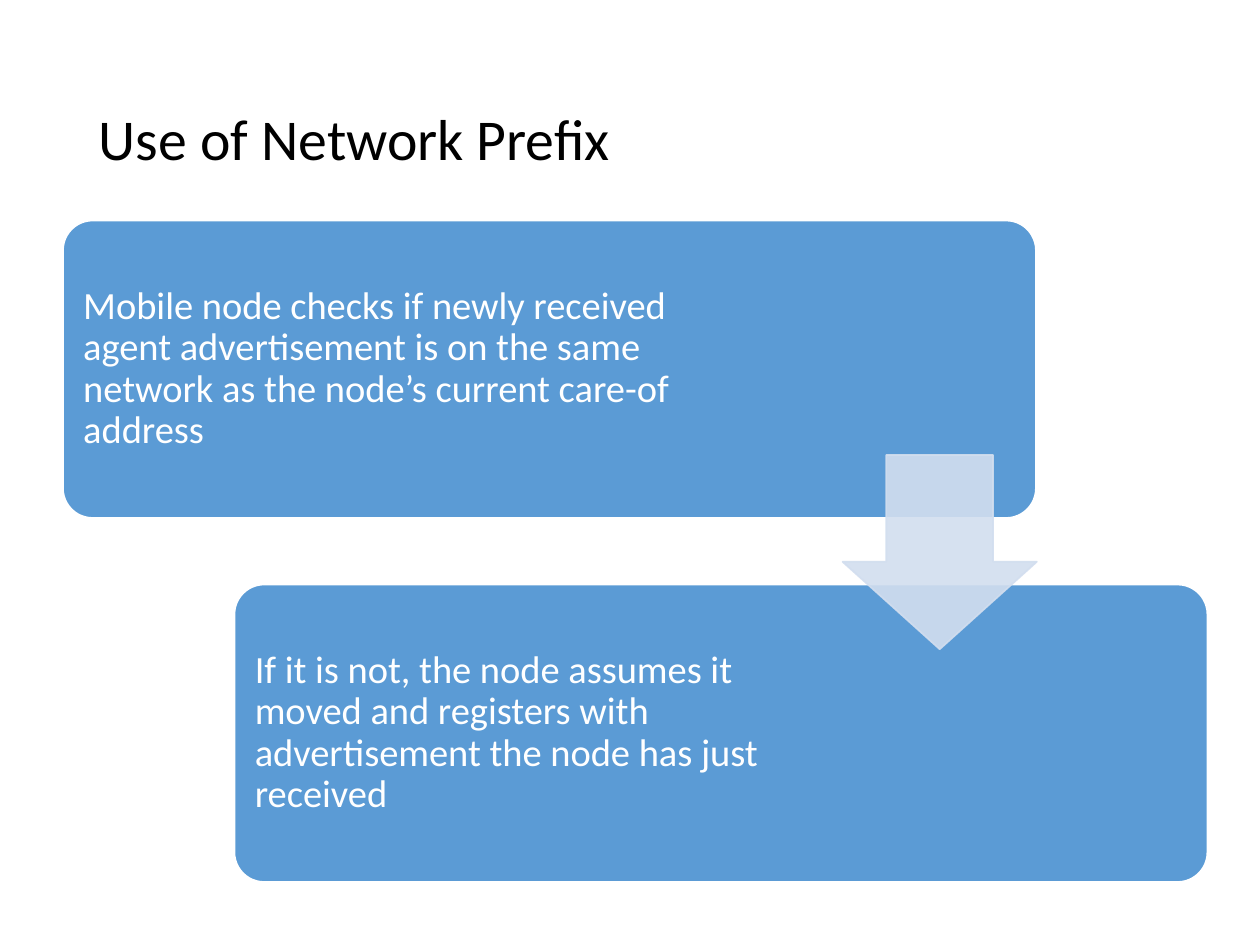
from dataclasses import dataclass
from lxml.etree import SubElement
from pptx import Presentation
from pptx.dml.color import RGBColor as Rgb
from pptx.enum.shapes import MSO_SHAPE as Kind
from pptx.enum.text import MSO_ANCHOR as Anchor, PP_ALIGN as Align
from pptx.oxml.ns import qn
from pptx.shapes.autoshape import Shape
from pptx.slide import Slide
from pptx.util import Pt


@dataclass(frozen=True)
class Theme:
    font: str = "Calibri"
    head: float = 33
    body: float = 22
    ink: Rgb = Rgb(0, 0, 0)
    white: Rgb = Rgb(255, 255, 255)
    blue: Rgb = Rgb(0x5B, 0x9B, 0xD5)
    pale: Rgb = Rgb(0xD2, 0xDE, 0xEF)


@dataclass(frozen=True)
class Box:
    left: float
    top: float
    width: float
    height: float

    def place(self) -> tuple:
        return Pt(self.left), Pt(self.top), Pt(self.width), Pt(self.height)


@dataclass(frozen=True)
class Step:
    text: str
    width: float


THEME = Theme()
CARD = Box(36, 126, 556, 170)
SHIFT_X, SHIFT_Y = 98, 208
INSET = 5
STEPS = [
    Step("Mobile node checks if newly received agent advertisement is on "
         "the same network as the node’s current care-of address", 380),
    Step("If it is not, the node assumes it moved and registers with "
         "advertisement the node has just received", 337),
]


def add_text(slide: Slide, box: Box, text: str, size: float,
             color: Rgb, pad: float) -> None:
    frame = slide.shapes.add_textbox(*box.place()).text_frame
    frame.word_wrap = True
    frame.vertical_anchor = Anchor.MIDDLE
    frame.margin_left = frame.margin_right = Pt(pad)
    frame.margin_top = frame.margin_bottom = Pt(pad)
    para = frame.paragraphs[0]
    para.alignment = Align.LEFT
    para.line_spacing = 0.9
    run = para.add_run()
    run.text = text
    run.font.name = THEME.font
    run.font.size = Pt(size)
    run.font.color.rgb = color


def add_form(slide: Slide, kind: Kind, box: Box, fill: Rgb, line: Rgb,
             *ratios: float) -> Shape:
    form = slide.shapes.add_shape(kind, *box.place())
    form.shadow.inherit = False
    form.fill.solid()
    form.fill.fore_color.rgb = fill
    form.line.color.rgb = line
    form.line.width = Pt(1)
    for i, ratio in enumerate(ratios):
        form.adjustments[i] = ratio
    return form


def add_step(slide: Slide, step: Step, index: int) -> None:
    left, top = CARD.left + index * SHIFT_X, CARD.top + index * SHIFT_Y
    card = Box(left, top, CARD.width, CARD.height)
    add_form(slide, Kind.ROUNDED_RECTANGLE, card, THEME.blue, THEME.white, 0.1)
    label = Box(left + INSET, top + INSET, step.width, CARD.height - 2 * INSET)
    add_text(slide, label, step.text, THEME.body, THEME.white, 6.6)


def fade(form: Shape, share: int) -> None:
    for color in form.element.spPr.iter(qn("a:srgbClr")):
        SubElement(color, qn("a:alpha")).set("val", str(share * 1000))


def main() -> None:
    deck = Presentation()
    deck.slide_width, deck.slide_height = Pt(720), Pt(540)
    slide = deck.slides.add_slide(deck.slide_layouts[6])
    add_text(slide, Box(49.5, 28.75, 621, 104.4), "Use of Network Prefix",
             THEME.head, THEME.ink, 7.2)
    for index, step in enumerate(STEPS):
        add_step(slide, step, index)
    arrow = add_form(slide, Kind.DOWN_ARROW, Box(481.5, 260, 111, 111),
                     THEME.pale, THEME.pale, 0.55, 0.45)
    fade(arrow, 90)
    deck.save("out.pptx")


if __name__ == "__main__":
    main()
